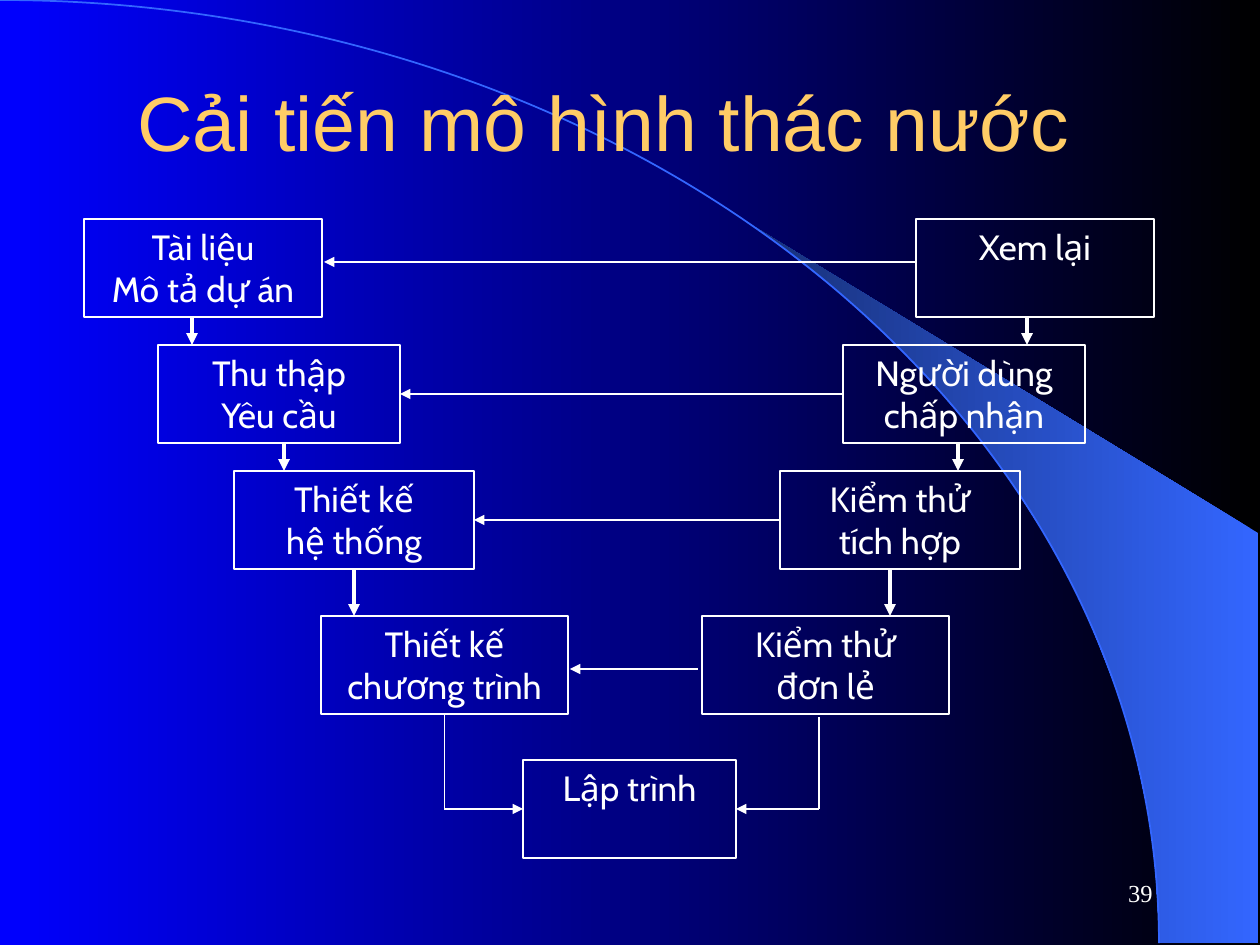
import math
from dataclasses import dataclass

from lxml import etree
from pptx import Presentation
from pptx.dml.color import RGBColor
from pptx.enum.shapes import MSO_CONNECTOR, MSO_SHAPE
from pptx.enum.text import MSO_ANCHOR, PP_ALIGN
from pptx.oxml.ns import qn
from pptx.util import Emu, Pt

STRAIGHT = MSO_CONNECTOR.STRAIGHT
RECTANGLE, ARC = MSO_SHAPE.RECTANGLE, MSO_SHAPE.ARC
TOP, MIDDLE = MSO_ANCHOR.TOP, MSO_ANCHOR.MIDDLE
CENTER, RIGHT = PP_ALIGN.CENTER, PP_ALIGN.RIGHT
SIDE_LEFT, SIDE_BOTTOM, SIDE_RIGHT = 1, 2, 3

PX = 914400 / 126
SLIDE_WIDTH, SLIDE_HEIGHT = 1260, 945
BOX_HEIGHT = 98
ARC_WIDTH, ARC_HEIGHT = 1159, 943


@dataclass(frozen=True)
class Theme:
    ink: RGBColor = RGBColor(0xFF, 0xFF, 0xFF)
    title: RGBColor = RGBColor(0xFF, 0xCC, 0x66)
    accent: RGBColor = RGBColor(0x33, 0x66, 0xFF)
    accent_dark: RGBColor = RGBColor(0x17, 0x2F, 0x75)
    night: RGBColor = RGBColor(0, 0, 0)
    blue: RGBColor = RGBColor(0, 0, 0xFF)
    thin: Pt = Pt(0.75)
    curve: Pt = Pt(1)
    thick: Pt = Pt(2.25)


THEME = Theme()
TITLE_FONT = {"name": "Arial", "size": Pt(44), "bold": False}
BOX_FONT = {"name": "Cabin", "size": Pt(20)}
NUMBER_FONT = {"name": "Times New Roman", "size": Pt(14)}

# top, width, then for each side: box left, x of the arrow down, lines of text
LEVELS = [
    (219, 238, (84, 192, "Tài liệu\nMô tả dự án"), (916, 1027, "Xem lại")),
    (345, 242, (158, 284, "Thu thập\nYêu cầu"), (843, 958, "Người dùng\nchấp nhận")),
    (471, 240, (234, 354, "Thiết kế\nhệ thống"), (780, 890, "Kiểm thử\ntích hợp")),
    (616, 247, (321, None, "Thiết kế\nchương trình"), (702, None, "Kiểm thử\nđơn lẻ")),
]


def px(value):
    return Emu(round(value * PX))


def set_values(target, values):
    for name, value in values.items():
        setattr(target, name, value)


def fill_gradient(fill, first, last):
    fill.gradient()
    fill.gradient_angle = 180
    for stop, color in zip(fill.gradient_stops, (first, last)):
        stop.color.rgb = color


def write_text(shape, text, font, color, align, anchor):
    frame = shape.text_frame
    frame.text = text
    set_values(frame, {"word_wrap": True, "vertical_anchor": anchor})
    for para in frame.paragraphs:
        para.alignment = align
        set_values(para.font, font)
        para.font.color.rgb = color


def set_line(shape, color, width):
    shape.line.color.rgb = color
    shape.line.width = width


def add_outline(page, preset, left, top, width, height, color, weight):
    shape = page.shapes.add_shape(preset, px(left), px(top), px(width), px(height))
    shape.shadow.inherit = False
    shape.fill.background()
    set_line(shape, color, weight)
    return shape


def add_box(page, left, top, width, text):
    box = add_outline(page, RECTANGLE, left, top, width, BOX_HEIGHT, THEME.ink, THEME.thin)
    write_text(box, text, BOX_FONT, THEME.ink, CENTER, TOP)
    return box


def add_line(page, start, end, weight=THEME.thin, arrow=True):
    line = page.shapes.add_connector(STRAIGHT, *map(px, start + end))
    set_line(line, THEME.ink, weight)
    properties = line.element.spPr
    if arrow:
        etree.SubElement(properties.find(qn("a:ln")), qn("a:tailEnd"), type="triangle")
    etree.SubElement(properties, qn("a:effectLst"))
    return line


def add_backdrop(page):
    fill_gradient(page.background.fill, THEME.night, THEME.blue)
    # The wedge follows the arc from its tip to the bottom edge
    angles = [math.radians(degree) for degree in range(40, 91, 2)]
    curve = [(ARC_WIDTH * math.sin(a), ARC_HEIGHT * (1 - math.cos(a))) for a in angles]
    builder = page.shapes.build_freeform(*curve[0], scale=PX)
    builder.add_line_segments(curve[1:] + [(1258, 943), (1258, 533)], close=True)
    wedge = builder.convert_to_shape()
    wedge.shadow.inherit = False
    wedge.line.fill.background()
    fill_gradient(wedge.fill, THEME.accent, THEME.accent_dark)
    add_outline(page, ARC, -ARC_WIDTH, 0, 2 * ARC_WIDTH, 2 * ARC_HEIGHT,
                THEME.accent, THEME.curve)


def add_title(page, text):
    title = page.shapes.title
    set_values(title, {"left": px(53), "top": px(63), "width": px(1102), "height": px(116)})
    write_text(title, text, TITLE_FONT, THEME.title, CENTER, MIDDLE)
    page.shapes.element.append(title.element)  # in front of the backdrop


def add_levels(page):
    pairs = []
    for index, (top, width, *sides) in enumerate(LEVELS):
        pair = []
        for left, arrow_x, text in sides:
            pair.append(add_box(page, left, top, width, text))
            if arrow_x:
                next_top = LEVELS[index + 1][0]
                add_line(page, (arrow_x, top + BOX_HEIGHT), (arrow_x, next_top), THEME.thick)
        pairs.append(pair)
    return pairs


def add_feedback(page, pairs):
    # The outer rows run off-centre, the inner rows join the side middles
    add_line(page, (917, 262), (324, 262))
    add_line(page, (698, 669), (570, 669))
    for design, test in pairs[1:3]:
        link = add_line(page, (0, 0), (0, 0))
        link.begin_connect(test, SIDE_LEFT)
        link.end_connect(design, SIDE_RIGHT)


def add_coding(page, design):
    coding = add_box(page, 523, 760, 213, "Lập trình")
    bend_y = 760 + BOX_HEIGHT // 2
    for x, edge_x, side in ((444.5, 523, SIDE_LEFT), (819, 736, SIDE_RIGHT)):
        drop = add_line(page, (x, 717), (x, bend_y), arrow=False)
        if side == SIDE_LEFT:
            drop.begin_connect(design, SIDE_BOTTOM)
        add_line(page, (x, bend_y), (edge_x, bend_y)).end_connect(coding, side)


def add_page_number(page, number):
    box = page.shapes.add_textbox(px(903), px(861), px(262), px(63))
    write_text(box, number, NUMBER_FONT, THEME.ink, RIGHT, MIDDLE)


def main():
    deck = Presentation()
    deck.slide_width, deck.slide_height = px(SLIDE_WIDTH), px(SLIDE_HEIGHT)
    page = deck.slides.add_slide(deck.slide_layouts[5])  # Title Only
    add_backdrop(page)
    add_title(page, "Cải tiến mô hình thác nước")
    pairs = add_levels(page)
    add_feedback(page, pairs)
    add_coding(page, pairs[-1][0])
    add_page_number(page, "39")
    deck.save("out.pptx")


if __name__ == "__main__":
    main()
